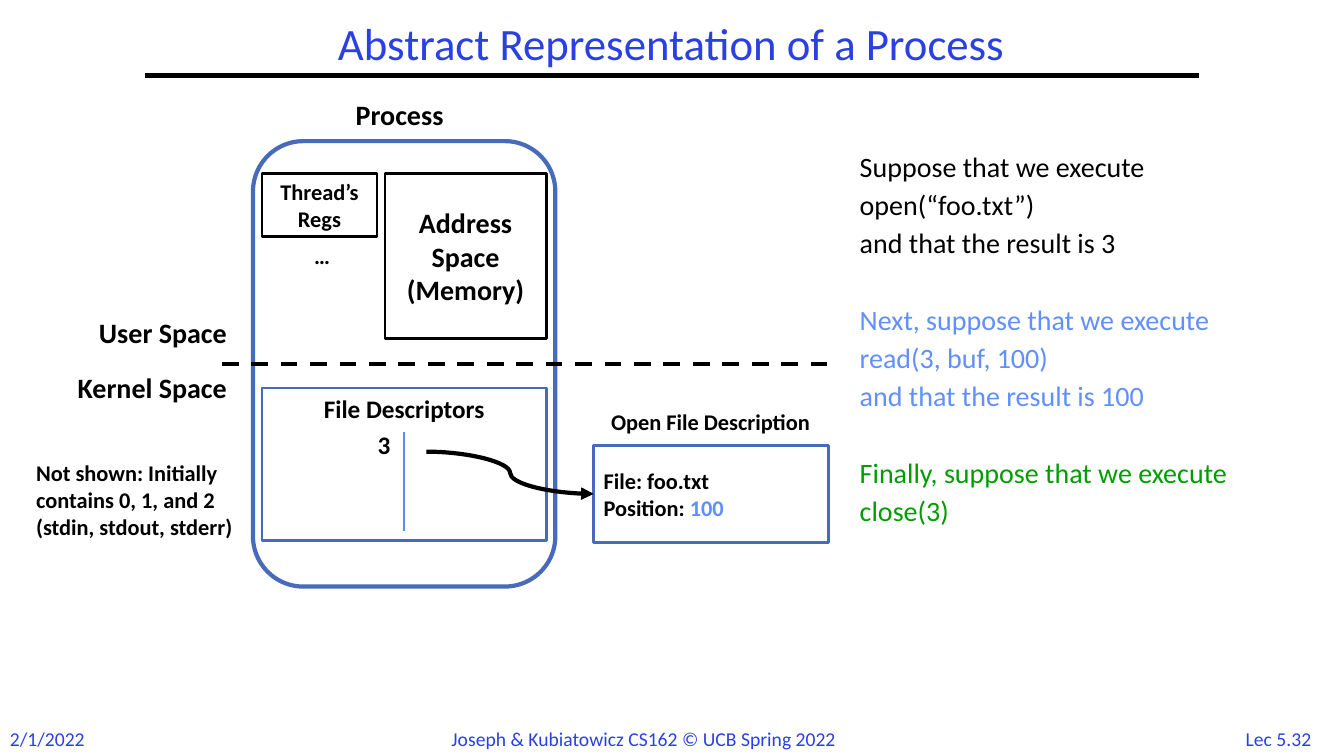
from lxml import etree
from pptx import Presentation
from pptx.dml.color import RGBColor
from pptx.enum.dml import MSO_LINE
from pptx.enum.shapes import MSO_CONNECTOR, MSO_SHAPE
from pptx.enum.text import MSO_ANCHOR, MSO_AUTO_SIZE, PP_ALIGN
from pptx.oxml.ns import qn
from pptx.util import Pt

LEFT, CENTER, RIGHT = PP_ALIGN.LEFT, PP_ALIGN.CENTER, PP_ALIGN.RIGHT
TOP, MIDDLE = MSO_ANCHOR.TOP, MSO_ANCHOR.MIDDLE
RECT, ROUNDED = MSO_SHAPE.RECTANGLE, MSO_SHAPE.ROUNDED_RECTANGLE
STRAIGHT, CURVE = MSO_CONNECTOR.STRAIGHT, MSO_CONNECTOR.CURVE
FIT, FIXED = MSO_AUTO_SIZE.SHAPE_TO_FIT_TEXT, MSO_AUTO_SIZE.NONE
DASH = MSO_LINE.DASH

BLACK, WHITE = "000000", "FFFFFF"
TITLE_BLUE, FRAME_BLUE = "2A40E2", "486ABB"
DIVIDER_BLUE, STEP_BLUE, STEP_GREEN = "5B8AFB", "618FFD", "009D00"


def rgb(value):
    return RGBColor.from_string(value)


class Slide:
    """Holds the font and the current slide, and draws each kind of element."""

    font = "Calibri"

    def __init__(self, prs):
        self.s = prs.slides.add_slide(prs.slide_layouts[5])

    def style(self, p, size, color, bold, align):
        p.alignment = align
        p.font.name = self.font
        p.font.size = Pt(size)
        p.font.bold = bold
        p.font.color.rgb = rgb(color)

    def fill_text(self, tf, lines, size, color=BLACK, bold=True, align=LEFT, anchor=TOP):
        tf.vertical_anchor = anchor
        for i, line in enumerate(lines):
            p = tf.add_paragraph() if i else tf.paragraphs[0]
            p.text = line
            self.style(p, size, color, bold, align)

    def title(self, text, x, y, w, h):
        sp = self.s.shapes.title
        sp.left, sp.top, sp.width, sp.height = Pt(x), Pt(y), Pt(w), Pt(h)
        tf = sp.text_frame
        tf.auto_size = FIXED
        self.fill_text(tf, [text], 32, TITLE_BLUE, False, CENTER, MIDDLE)
        tf.paragraphs[0].line_spacing = 0.9

    def text(self, text, x, y, w, h, size, wrap=False, **style):
        tf = self.s.shapes.add_textbox(Pt(x), Pt(y), Pt(w), Pt(h)).text_frame
        tf.word_wrap = wrap
        tf.auto_size = FIT
        self.fill_text(tf, [text], size, **style)

    def steps(self, groups, x, y, w, h):
        tf = self.s.shapes.add_textbox(Pt(x), Pt(y), Pt(w), Pt(h)).text_frame
        tf.word_wrap = True
        p = tf.paragraphs[0]
        for g, (color, lines) in enumerate(groups):
            for i, line in enumerate(lines):
                if g or i:
                    p = tf.add_paragraph()
                p.text = line
                p.line_spacing = 0.9
                p.space_before = Pt(5.6 if i else 33.2 if g else 0)
                self.style(p, 20, color, False, LEFT)

    def box(self, kind, x, y, w, h, line, weight=2, fill=WHITE):
        sp = self.s.shapes.add_shape(kind, Pt(x), Pt(y), Pt(w), Pt(h))
        sp.shadow.inherit = False
        if fill:
            sp.fill.solid()
            sp.fill.fore_color.rgb = rgb(fill)
        else:
            sp.fill.background()
        sp.line.color.rgb = rgb(line)
        sp.line.width = Pt(weight)
        return sp.text_frame

    def line(self, x1, y1, x2, y2, color=BLACK, weight=3, kind=STRAIGHT, dash=None, arrow=False):
        c = self.s.shapes.add_connector(kind, Pt(x1), Pt(y1), Pt(x2), Pt(y2))
        c.line.color.rgb = rgb(color)
        c.line.width = Pt(weight)
        if dash:
            c.line.dash_style = dash
        if arrow:
            etree.SubElement(c.element.spPr.get_or_add_ln(), qn("a:tailEnd"), type="triangle")
        etree.SubElement(c.element.spPr, qn("a:effectLst"))


def main():
    prs = Presentation()
    prs.slide_width, prs.slide_height = Pt(960), Pt(540)
    s = Slide(prs)

    s.title("Abstract Representation of a Process", 103.7, 12.2, 751.7, 41.8)
    s.line(103.7, 54, 856.1, 54)
    for text, x, w, align in (
        ("2/1/2022", 0, 69.1, LEFT),
        ("Joseph & Kubiatowicz CS162 © UCB Spring 2022", 315.4, 327.6, LEFT),
        ("Lec 5.32", 878.4, 69.8, CENTER),
    ):
        s.text(text, x, 515.5, w, 24.5, 14, color=TITLE_BLUE, bold=False, align=align)

    s.steps((
        (BLACK, ("Suppose that we execute", "open(“foo.txt”)", "and that the result is 3")),
        (STEP_BLUE, ("Next, suppose that we execute", "read(3, buf, 100)",
                     "and that the result is 100")),
        (STEP_GREEN, ("Finally, suppose that we execute", "close(3)")),
    ), 607, 105.8, 298.8, 342.7)

    s.box(ROUNDED, 180.7, 100.8, 216, 318.2, FRAME_BLUE, 3, None)
    s.line(158.4, 259.9, 591.8, 259.9, dash=DASH)

    address = s.box(RECT, 275, 123.8, 115.2, 118.1, BLACK)
    s.fill_text(address, ["Address Space (Memory)"], 20, align=CENTER, anchor=MIDDLE)
    regs = s.box(RECT, 187.2, 123.8, 82.1, 45.4, BLACK)
    s.fill_text(regs, ["Thread’s Regs"], 16, align=CENTER, anchor=MIDDLE)
    descriptors = s.box(RECT, 187.2, 277.2, 203, 108.7, FRAME_BLUE)
    s.fill_text(descriptors, ["File Descriptors"], 18, align=CENTER)
    s.line(288.7, 308.9, 288.7, 379.4, DIVIDER_BLUE, 1.5)

    open_file = s.box(RECT, 424.1, 318.2, 167.8, 69.1, FRAME_BLUE)
    s.fill_text(open_file, ["File: foo.txt", "Position: "], 16, anchor=MIDDLE)
    r = open_file.paragraphs[1].add_run()
    r.text = "100"
    r.font.color.rgb = rgb(STEP_BLUE)

    for text, x, y, w, h, size, align in (
        ("Process", 239, 66.2, 92.9, 31.7, 20, CENTER),
        ("User Space", 44.6, 221.8, 124.6, 31.7, 20, RIGHT),
        ("Kernel Space", 26.6, 261.4, 142.6, 31.7, 20, RIGHT),
        ("3", 261.4, 303.1, 24.5, 28.8, 18, RIGHT),
        ("Open File Description", 416.9, 288, 181.4, 26.6, 16, CENTER),
        ("…", 217.4, 169.2, 31, 26.6, 16, LEFT),
    ):
        s.text(text, x, y, w, h, size, align=align)
    s.text("Not shown: Initially contains 0, 1, and 2 (stdin, stdout, stderr)",
           18.7, 324.7, 159.1, 85, 16, wrap=True)
    s.line(304.6, 322.6, 424.1, 352.8, kind=CURVE, arrow=True)

    prs.save("out.pptx")


if __name__ == "__main__":
    main()
